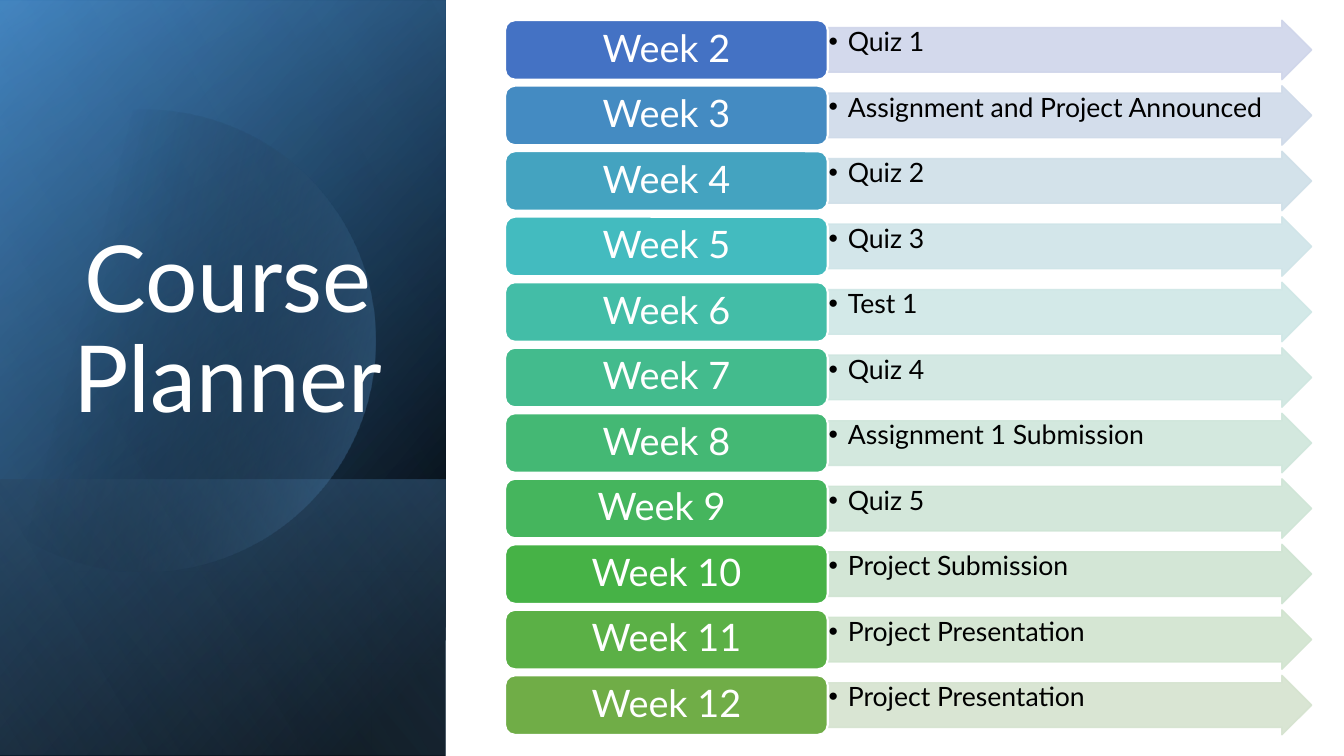
import math

from lxml import etree
from pptx import Presentation
from pptx import util as u
from pptx.dml import color
from pptx.enum import shapes, text
from pptx.oxml import ns

FONT = "Lato"
ROW_TOP, ROW_PITCH, ROW_HEIGHT = 0.2, 0.65, 0.59
WEEK_LEFT, WEEK_WIDTH, EVENT_WIDTH = 5.01, 3.2, 4.8

PANELS = [
    ((-1.54, 1.54, 7.5, 4.42), 50, [(8, "000000", 100), (100, "2E75B6", 100)]),
    ((-1.54, 1.55, 7.5, 4.42), 30, [(0, "000000", 0), (99, "5B9BD5", 46)]),
    ((0.84, 3.92, 2.74, 4.42), 130, [(2, "5B9BD5", 29), (100, "000000", 30)]),
]
TOP_PANEL = ((-1.54, 1.53, 7.5, 4.42), 120, [(0, "000000", 0), (99, "9DC3E6", 11)])
DISC_STOPS = [(29, "000000", 0), (100, "5B9BD5", 43)]

SCHEDULE = [
    ("Week 2", "Quiz 1", "4472C4", "CFD5EA"),
    ("Week 3", "Assignment and Project Announced", "448BC2", "CFDAE9"),
    ("Week 4", "Quiz 2", "44A3C0", "CFDFE8"),
    ("Week 5", "Quiz 3", "43BBBF", "CFE4E8"),
    ("Week 6", "Test 1", "43BDA7", "CFE7E6"),
    ("Week 7", "Quiz 4", "43BB8D", "CFE6E0"),
    ("Week 8", "Assignment 1 Submission", "44B874", "CFE6DB"),
    ("Week 9 ", "Quiz 5", "45B55D", "CFE5D6"),
    ("Week 10", "Project Submission", "46B246", "CFE4D2"),
    ("Week 11", "Project Presentation", "5BB046", "D1E4CF"),
    ("Week 12", "Project Presentation", "70AD47", "D5E3CF"),
]


def rgb(value):
    return color.RGBColor.from_string(value)


def add_child(parent, tag, **attributes):
    child = etree.SubElement(parent, ns.qn(tag))
    for name, value in attributes.items():
        child.set(name, str(value))
    return child


def fill_gradient(shape, angle, stops):
    shape.shadow.inherit = False
    shape.line.fill.background()
    shape.fill.gradient()
    gradient = shape.element.spPr.find(ns.qn("a:gradFill"))
    for child in list(gradient):
        gradient.remove(child)
    gradient.set("rotWithShape", "1")
    stop_list = add_child(gradient, "a:gsLst")
    for position, value, alpha in stops:
        stop = add_child(stop_list, "a:gs", pos=position * 1000)
        tint = add_child(stop, "a:srgbClr", val=value)
        add_child(tint, "a:alpha", val=alpha * 1000)
    add_child(gradient, "a:lin", ang=round(angle * 60000), scaled=0)


def add_panel(page, place, angle, stops):
    panel = page.shapes.add_shape(
        shapes.MSO_SHAPE.RECTANGLE, *[u.Inches(length) for length in place])
    panel.rotation = 90
    panel.element.spPr.find(ns.qn("a:xfrm")).set("flipH", "1")
    fill_gradient(panel, angle, stops)


def add_disc(page):
    center_x, center_y, radius, cut_x = 1.43, 3.38, 2.29, -0.15
    reach = math.acos((cut_x - center_x) / radius)
    steps = 120
    angles = [-reach + 2 * reach * step / steps for step in range(steps + 1)]
    points = [(u.Inches(center_x + radius * math.cos(angle)),
               u.Inches(center_y + radius * math.sin(angle))) for angle in angles]
    builder = page.shapes.build_freeform(*points[0])
    builder.add_line_segments(points[1:], close=True)
    fill_gradient(builder.convert_to_shape(), 13.9, DISC_STOPS)


def write(frame, wording, size, value, align, anchor):
    frame.text = wording
    frame.word_wrap = True
    frame.auto_size = text.MSO_AUTO_SIZE.NONE
    frame.vertical_anchor = anchor
    para = frame.paragraphs[0]
    para.alignment = align
    para.line_spacing = 0.9
    for span in para.runs:
        span.font.name = FONT
        span.font.size = u.Pt(size)
        span.font.color.rgb = rgb(value)
    return para


def set_insets(frame, across, down):
    frame.margin_left = frame.margin_right = u.Inches(across)
    frame.margin_top = frame.margin_bottom = u.Inches(down)


def add_block(group, kind, left, top, width, fill, line, line_width):
    block = group.shapes.add_shape(
        kind, u.Inches(left), u.Inches(top), u.Inches(width), u.Inches(ROW_HEIGHT))
    block.shadow.inherit = False
    block.fill.solid()
    block.fill.fore_color.rgb = rgb(fill)
    block.line.color.rgb = rgb(line)
    block.line.width = u.Pt(line_width)
    return block


def add_event(group, top, wording, fill):
    arrow = add_block(group, shapes.MSO_SHAPE.RIGHT_ARROW,
                      WEEK_LEFT + WEEK_WIDTH, top, EVENT_WIDTH, fill, fill, 1)
    arrow.adjustments[0] = 0.75
    arrow.adjustments[1] = 0.5
    for tint in arrow.element.spPr.iter(ns.qn("a:srgbClr")):
        add_child(tint, "a:alpha", val=90000)
    set_insets(arrow.text_frame, 0.01, 0.01)
    para = write(arrow.text_frame, wording, 19, "000000",
                 text.PP_ALIGN.LEFT, text.MSO_ANCHOR.TOP)
    properties = para._p.get_or_add_pPr()
    properties.set("marL", str(u.Inches(0.19)))
    properties.set("indent", str(u.Inches(-0.19)))
    add_child(properties, "a:buFont", typeface="Arial")
    add_child(properties, "a:buChar", char="•")


def add_week(group, top, wording, fill):
    week = add_block(group, shapes.MSO_SHAPE.ROUNDED_RECTANGLE,
                     WEEK_LEFT, top, WEEK_WIDTH, fill, "FFFFFF", 1.5)
    set_insets(week.text_frame, 0.11, 0.06)
    write(week.text_frame, wording, 27, "FFFFFF",
          text.PP_ALIGN.CENTER, text.MSO_ANCHOR.MIDDLE)


def add_schedule(page):
    group = page.shapes.add_group_shape()
    for row, (week, event, week_fill, event_fill) in enumerate(SCHEDULE):
        top = ROW_TOP + row * ROW_PITCH
        add_event(group, top, event, event_fill)
        add_week(group, top, week, week_fill)


def place_title(page):
    title = page.shapes.title
    title.left, title.top = u.Inches(0.51), u.Inches(0.64)
    title.width, title.height = u.Inches(3.5), u.Inches(3.7)
    write(title.text_frame, "Course Planner", 66, "FFFFFF",
          text.PP_ALIGN.CENTER, text.MSO_ANCHOR.BOTTOM)
    page.shapes.element.append(title.element)


def main():
    deck = Presentation()
    deck.slide_width, deck.slide_height = u.Inches(13.33), u.Inches(7.5)
    page = deck.slides.add_slide(deck.slide_layouts[5])
    for panel in PANELS:
        add_panel(page, *panel)
    add_disc(page)
    add_panel(page, *TOP_PANEL)
    place_title(page)
    add_schedule(page)
    deck.save("out.pptx")


if __name__ == "__main__":
    main()
